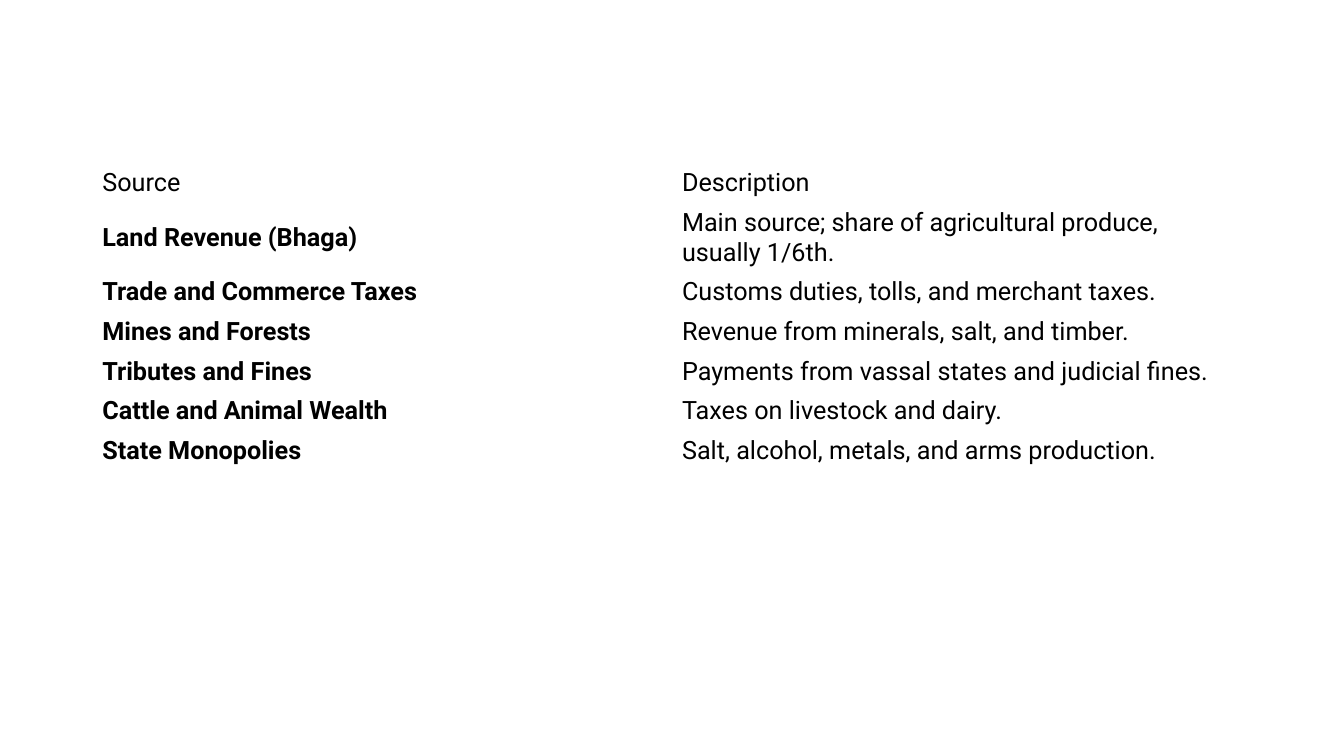
from pptx import Presentation
from pptx.dml.color import RGBColor
from pptx.enum.text import MSO_ANCHOR
from pptx.util import Inches, Pt

HEADER = ("Source", "Description")
REVENUES = [
    ("Land Revenue (Bhaga)", "Main source; share of agricultural produce, usually 1/6th."),
    ("Trade and Commerce Taxes", "Customs duties, tolls, and merchant taxes."),
    ("Mines and Forests", "Revenue from minerals, salt, and timber."),
    ("Tributes and Fines", "Payments from vassal states and judicial fines."),
    ("Cattle and Animal Wealth", "Taxes on livestock and dairy."),
    ("State Monopolies", "Salt, alcohol, metals, and arms production."),
]

BLACK = RGBColor(0x00, 0x00, 0x00)
MIDDLE = MSO_ANCHOR.MIDDLE
FONT = "Roboto"
TEXT_SIZE = Pt(18)
SLIDE_WIDTH, SLIDE_HEIGHT = Inches(13.33), Inches(7.5)
TABLE_WIDTH = Inches(11.5)
TABLE_LEFT = (SLIDE_WIDTH - TABLE_WIDTH) // 2
TABLE_TOP = Inches(1.62)
LINE_ROW, WRAPPED_ROW = Inches(0.39), Inches(0.69)
WRAP_LENGTH = 50


def fill_cell(cell, text, bold):
    cell.fill.background()
    cell.vertical_anchor = MIDDLE
    cell.text = text
    font = cell.text_frame.paragraphs[0].font
    font.name = FONT
    font.size = TEXT_SIZE
    font.bold = bold
    font.color.rgb = BLACK


def main():
    prs = Presentation()
    prs.slide_width, prs.slide_height = SLIDE_WIDTH, SLIDE_HEIGHT
    slide = prs.slides.add_slide(prs.slide_layouts[6])

    entries = [HEADER, *REVENUES]
    heights = [WRAPPED_ROW if len(description) > WRAP_LENGTH else LINE_ROW
               for _, description in entries]
    table = slide.shapes.add_table(
        len(entries), len(HEADER), TABLE_LEFT, TABLE_TOP, TABLE_WIDTH, sum(heights)
    ).table
    table.first_row = False
    table.horz_banding = False

    for row, (entry, height) in enumerate(zip(entries, heights)):
        table.rows[row].height = height
        for column, text in enumerate(entry):
            fill_cell(table.cell(row, column), text, bold=row > 0 and column == 0)

    prs.save("out.pptx")


if __name__ == "__main__":
    main()
